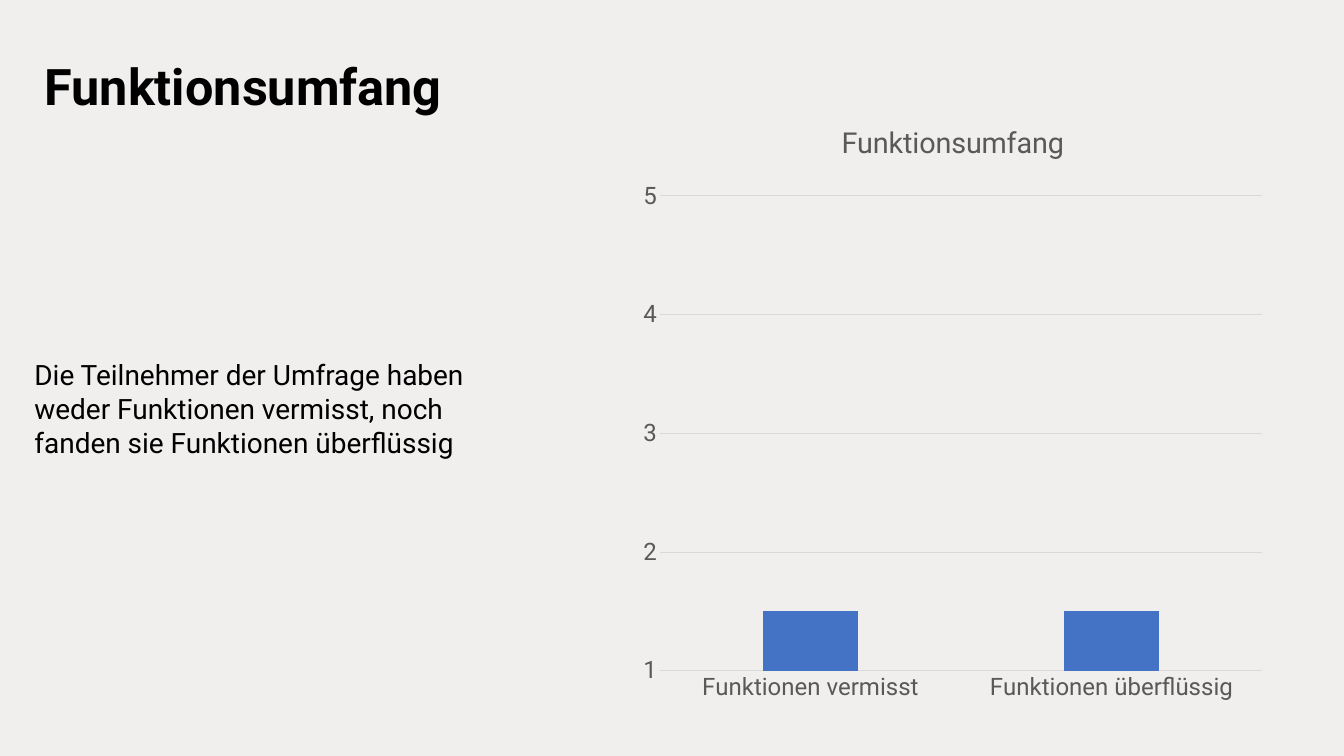
import pptx
import pptx.chart.data
import pptx.dml.color
import pptx.enum.chart
import pptx.enum.text
import pptx.util
from pptx.util import Inches

FONT = "Roboto"
COLORS = {
    "background": "F1EEEE",
    "text": "000000",
    "label": "595959",
    "grid": "D9D9D9",
    "bar": "4472C4",
}


def rgb(name):
    """Return the named colour."""
    return pptx.dml.color.RGBColor.from_string(COLORS[name])


def style_font(font, size, color, bold=False):
    """Set typeface, size, colour and weight of a font."""
    font.name = FONT
    font.size = pptx.util.Pt(size)
    font.bold = bold
    font.color.rgb = rgb(color)


def write_text(frame, text, *, size, color="text", bold=False, align=None,
               anchor=None, line_spacing=None):
    """Fill a text frame with one formatted paragraph."""
    frame.word_wrap = True
    frame.vertical_anchor = anchor
    paragraph = frame.paragraphs[0]
    paragraph.alignment = align
    paragraph.line_spacing = line_spacing
    run = paragraph.add_run()
    run.text = text
    style_font(run.font, size, color, bold)


def place_heading(slide, left, top, width, height):
    """Place the slide title in the given box."""
    heading = slide.shapes.title
    heading.left, heading.top = left, top
    heading.width, heading.height = width, height
    write_text(heading.text_frame, "Funktionsumfang", size=50.4, bold=True,
               align=pptx.enum.text.PP_ALIGN.CENTER,
               anchor=pptx.enum.text.MSO_ANCHOR.BOTTOM, line_spacing=0.9)


def place_finding(slide, left, top, width, height):
    """Place the survey finding in the given box."""
    finding = slide.shapes.add_textbox(left, top, width, height)
    write_text(finding.text_frame,
               "Die Teilnehmer der Umfrage haben weder Funktionen vermisst, "
               "noch fanden sie Funktionen überflüssig",
               size=28, anchor=pptx.enum.text.MSO_ANCHOR.TOP)


def style_line(line, color):
    """Give a chart line its colour and thin width."""
    line.color.rgb = rgb(color)
    line.width = pptx.util.Pt(0.75)


def place_ratings(slide, left, top, width, height):
    """Place the column chart of the ratings in the given box."""
    ratings = pptx.chart.data.CategoryChartData()
    ratings.categories = ["Funktionen vermisst", "Funktionen überflüssig"]
    ratings.add_series("Series 1", [1.5, 1.5])
    chart = slide.shapes.add_chart(
        pptx.enum.chart.XL_CHART_TYPE.COLUMN_CLUSTERED,
        left, top, width, height, ratings).chart
    style_font(chart.font, 24, "text")
    chart.has_legend = False
    chart.has_title = True
    write_text(chart.chart_title.text_frame, "Funktionsumfang", size=28.8,
               color="label")
    chart.chart_title.include_in_layout = False

    columns = chart.plots[0]
    columns.gap_width = 219
    columns.overlap = -27
    columns.vary_by_categories = False
    bars = columns.series[0].format.fill
    bars.solid()
    bars.fore_color.rgb = rgb("bar")

    for axis in (chart.category_axis, chart.value_axis):
        axis.major_tick_mark = pptx.enum.chart.XL_TICK_MARK.NONE
        axis.minor_tick_mark = pptx.enum.chart.XL_TICK_MARK.NONE
        style_font(axis.tick_labels.font, 24, "label")
    style_line(chart.category_axis.format.line, "grid")

    scale = chart.value_axis
    scale.minimum_scale, scale.maximum_scale, scale.major_unit = 1, 5, 1
    scale.format.line.fill.background()
    scale.has_major_gridlines = True
    style_line(scale.major_gridlines.format.line, "grid")


def main():
    """Build and save the slide."""
    presentation = pptx.Presentation()
    presentation.slide_width = Inches(18.67)
    presentation.slide_height = Inches(10.5)
    slide = presentation.slides.add_slide(presentation.slide_layouts[5])
    slide.background.fill.solid()
    slide.background.fill.fore_color.rgb = rgb("background")

    margin = Inches(0.38)
    place_heading(slide, margin, Inches(0.36), Inches(6), Inches(1.31))
    place_ratings(slide, Inches(8.76), Inches(1.43), Inches(8.95), Inches(8.49))
    place_finding(slide, margin, Inches(4.92), Inches(6.37), Inches(1.51))
    presentation.save("out.pptx")


if __name__ == "__main__":
    main()
